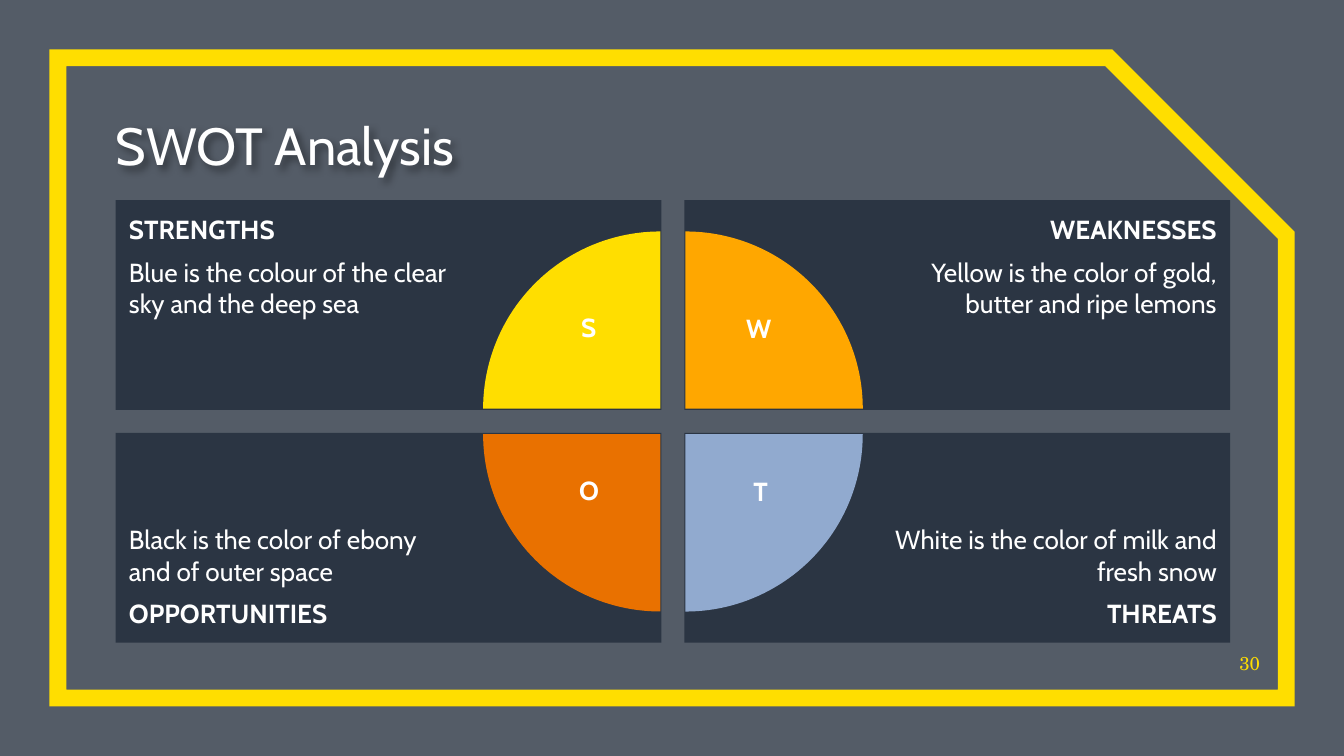
from dataclasses import dataclass

from lxml import etree
from pptx import Presentation
from pptx.dml.color import RGBColor
from pptx.enum.shapes import MSO_SHAPE
from pptx.enum.text import MSO_ANCHOR, PP_ALIGN
from pptx.oxml.ns import qn
from pptx.util import Pt

RECT, SNIP, PIE = MSO_SHAPE.RECTANGLE, MSO_SHAPE.SNIP_1_RECTANGLE, MSO_SHAPE.PIE
TOP, BOTTOM = MSO_ANCHOR.TOP, MSO_ANCHOR.BOTTOM
LEFT, CENTER, RIGHT = PP_ALIGN.LEFT, PP_ALIGN.CENTER, PP_ALIGN.RIGHT

WHITE = RGBColor(0xFF, 0xFF, 0xFF)
NAVY = RGBColor(0x04, 0x0F, 0x20)
YELLOW = RGBColor(0xFF, 0xDE, 0x00)
AMBER = RGBColor(0xFF, 0xA7, 0x00)
BLUE = RGBColor(0x91, 0xAA, 0xCF)
ORANGE = RGBColor(0xE9, 0x71, 0x00)

SANS, SERIF = "Cabin", "TeX Gyre Schola"
SLIDE_W, SLIDE_H = 720, 405
PANEL_X, PANEL_Y, PANEL_W, PANEL_H = 62, 107.3, 292.4, 112.3
GAP_X, GAP_Y = 12.2, 12.4
PIE_SIZE = 190
PIE_INSET = 0.6
PAD, PIE_PAD = 7.2, 108


@dataclass(frozen=True)
class Box:
    x: float
    y: float
    w: float
    h: float

    def lengths(self) -> tuple:
        return Pt(self.x), Pt(self.y), Pt(self.w), Pt(self.h)


@dataclass(frozen=True)
class Quadrant:
    col: int
    row: int
    heading: str
    body: str
    color: RGBColor
    rotation: int
    letter_box: Box


QUADRANTS = [
    Quadrant(0, 0, "STRENGTHS", "Blue is the colour of the clear sky and the deep sea",
             YELLOW, 0, Box(302.4, 163.4, 26, 35)),
    Quadrant(1, 0, "WEAKNESSES", "Yellow is the color of gold, butter and ripe lemons",
             AMBER, 90, Box(382.5, 163.6, 48, 34)),
    Quadrant(1, 1, "THREATS", "White is the color of milk and fresh snow",
             BLUE, 180, Box(391.5, 251, 32, 34)),
    Quadrant(0, 1, "OPPORTUNITIES", "Black is the color of ebony and of outer space",
             ORANGE, 270, Box(299.5, 250.5, 32, 35)),
]


def add_filled(s, kind, box: Box, color: RGBColor, opacity: int = 100):
    sp = s.shapes.add_shape(kind, *box.lengths())
    sp.shadow.inherit = False
    sp.line.fill.background()
    sp.fill.solid()
    sp.fill.fore_color.rgb = color
    if opacity < 100:
        clr = sp.fill._xPr.find(".//" + qn("a:srgbClr"))
        etree.SubElement(clr, qn("a:alpha"), val=str(opacity * 1000))
    return sp


def add_frame(s) -> None:
    sp = s.shapes.add_shape(SNIP, *Box(31, 31, 658, 343).lengths())
    sp.adjustments[0] = 0.277
    sp.shadow.inherit = False
    sp.fill.background()
    sp.line.color.rgb = YELLOW
    sp.line.width = Pt(9)
    etree.SubElement(sp.line._ln, qn("a:miter"), lim="800000")


def add_run(p, text: str, size: float, color: RGBColor = WHITE,
            font: str = SANS, bold: bool = False) -> None:
    r = p.add_run()
    r.text = text
    r.font.size = Pt(size)
    r.font.name = font
    r.font.bold = bold
    r.font.color.rgb = color


def set_frame(tf, left: float, top: float, right: float, bottom: float, anchor) -> None:
    tf.word_wrap = True
    tf.margin_left, tf.margin_top = Pt(left), Pt(top)
    tf.margin_right, tf.margin_bottom = Pt(right), Pt(bottom)
    tf.vertical_anchor = anchor


def add_label(s, box: Box, text: str, size: float, align=LEFT, anchor=BOTTOM,
              inset: tuple = (0, 0, 0, 0), **style):
    sp = s.shapes.add_textbox(*box.lengths())
    set_frame(sp.text_frame, *inset, anchor)
    p = sp.text_frame.paragraphs[0]
    p.alignment = align
    add_run(p, text, size, **style)
    return sp


def add_soft_shadow(sp) -> None:
    effects = etree.SubElement(sp._element.spPr, qn("a:effectLst"))
    shadow = etree.SubElement(effects, qn("a:outerShdw"), blurRad="50800",
                              dist="38100", dir="2700000", algn="tl", rotWithShape="0")
    clr = etree.SubElement(shadow, qn("a:srgbClr"), val="000000")
    etree.SubElement(clr, qn("a:alpha"), val="40000")


def add_panel(s, q: Quadrant) -> None:
    box = Box(PANEL_X + q.col * (PANEL_W + GAP_X),
              PANEL_Y + q.row * (PANEL_H + GAP_Y), PANEL_W, PANEL_H)
    tf = add_filled(s, RECT, box, NAVY, 50).text_frame
    left, right = (PIE_PAD, PAD) if q.col else (PAD, PIE_PAD)
    set_frame(tf, left, PAD, right, PAD, BOTTOM if q.row else TOP)
    lines = [(q.heading, True), (q.body, False)]
    if q.row:
        lines.reverse()
    for i, (text, bold) in enumerate(lines):
        p = tf.add_paragraph() if i else tf.paragraphs[0]
        p.alignment = RIGHT if q.col else LEFT
        if i:
            p.space_before = p.space_after = Pt(6)
        add_run(p, text, 14, bold=bold)


def add_quarter(s, q: Quadrant) -> None:
    """Draw a quarter disc in the panel corner nearest the centre."""
    center_x = PANEL_X + PANEL_W - PIE_INSET + q.col * (GAP_X + 2 * PIE_INSET)
    center_y = PANEL_Y + PANEL_H - PIE_INSET + q.row * (GAP_Y + 2 * PIE_INSET)
    box = Box(center_x - PIE_SIZE / 2, center_y - PIE_SIZE / 2, PIE_SIZE, PIE_SIZE)
    sp = add_filled(s, PIE, box, q.color)
    sp.adjustments[0], sp.adjustments[1] = 108, 162
    sp.rotation = q.rotation


def main() -> None:
    prs = Presentation()
    prs.slide_width, prs.slide_height = Pt(SLIDE_W), Pt(SLIDE_H)
    s = prs.slides.add_slide(prs.slide_layouts[6])
    s.background.fill.solid()
    s.background.fill.fore_color.rgb = WHITE

    add_filled(s, RECT, Box(0, 0, SLIDE_W, SLIDE_H), NAVY, 68)
    add_frame(s)
    add_soft_shadow(add_label(s, Box(62, 56, 529, 38), "SWOT Analysis", 28))
    add_label(s, Box(656, 341.5, 19, 20), "30", 10, RIGHT, color=YELLOW, font=SERIF)

    for q in QUADRANTS:
        add_panel(s, q)
    for q in QUADRANTS:
        add_quarter(s, q)
    for q in QUADRANTS:
        add_label(s, q.letter_box, q.heading[0], 14, CENTER, TOP,
                  (PAD, PAD / 2, PAD, PAD / 2), bold=True)
    prs.save("out.pptx")


if __name__ == "__main__":
    main()
